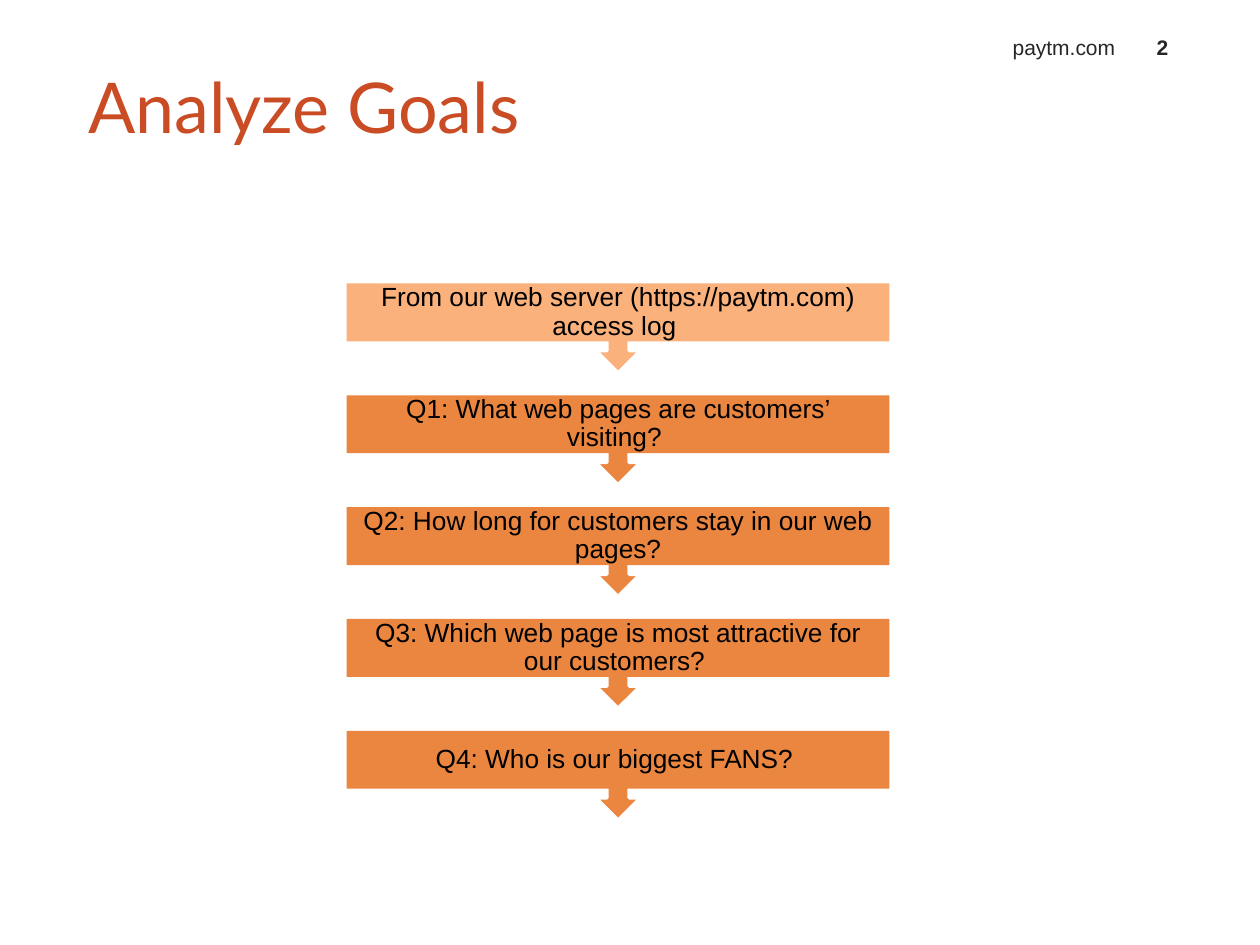
from pptx import Presentation
from pptx.dml.color import RGBColor
from pptx.enum.shapes import MSO_SHAPE
from pptx.enum.text import MSO_ANCHOR, PP_ALIGN
from pptx.util import Inches, Pt

CALLOUT, RECTANGLE = MSO_SHAPE.UP_ARROW_CALLOUT, MSO_SHAPE.RECTANGLE
MIDDLE, BOTTOM = MSO_ANCHOR.MIDDLE, MSO_ANCHOR.BOTTOM
LEFT, CENTER, RIGHT = PP_ALIGN.LEFT, PP_ALIGN.CENTER, PP_ALIGN.RIGHT


def color(value):
    return RGBColor.from_string(value)


def write(shape, text, font, size, text_color, align, anchor, insets, bold=False):
    text_frame = shape.text_frame
    text_frame.text = text
    text_frame.word_wrap = True
    text_frame.vertical_anchor = anchor
    text_frame.margin_left, text_frame.margin_right = Inches(insets[0]), Inches(insets[1])
    text_frame.margin_top = text_frame.margin_bottom = Inches(insets[2])
    paragraph = text_frame.paragraphs[0]
    paragraph.alignment = align
    run = paragraph.runs[0]
    run.font.name = font
    run.font.size = Pt(size)
    run.font.bold = bold
    run.font.color.rgb = color(text_color)
    return paragraph


presentation = Presentation()
presentation.slide_width = Inches(10)
presentation.slide_height = Inches(7.5)
slide = presentation.slides.add_slide(presentation.slide_layouts[6])
column = presentation.slide_width / 40
row = presentation.slide_height / 30

labels = [
    ("Analyze Goals", 2, 1.6, 21.32, 3.48, "Lato", 40, "C94C25", LEFT, MIDDLE, (0.2, 0, 0.05), False),
    ("paytm.com", 25, 0.76, 10.8, 1.32, "Arial", 12, "262626", RIGHT, BOTTOM, (0.1, 0.1, 0.05), False),
    ("2", 35.8, 0.76, 2.2, 1.32, "Arial", 12, "262626", CENTER, BOTTOM, (0.1, 0.1, 0.05), True),
]
for text, x, y, width, height, *style in labels:
    label = slide.shapes.add_textbox(
        int(x * column), int(y * row), int(width * column), int(height * row))
    write(label, text, *style)

steps = [
    ("From our web server (https://paytm.com) access log ", "FAB17B"),
    ("Q1: What web pages are customers’ visiting? ", "EA8640"),
    ("Q2: How long for customers stay in our web pages?", "EA8640"),
    ("Q3: Which web page is most attractive for our customers? ", "EA8640"),
    ("Q4: Who is our biggest FANS? ", "EA8640"),
]
step_left, step_width = int(11 * column), int(17.24 * column)
first_top, step_pitch = 9 * row, 3.55 * row
arrow_height, box_height = int(2.84 * row), int(1.84 * row)

for index, (text, fill) in enumerate(steps):
    top = int(first_top + index * step_pitch)
    group = slide.shapes.add_group_shape()
    arrow = group.shapes.add_shape(CALLOUT, step_left, top, step_width, arrow_height)
    arrow.rotation = 180
    arrow.line.color.rgb = color("FFFFFF")
    arrow.line.width = Pt(2)
    box = group.shapes.add_shape(RECTANGLE, step_left, top, step_width, box_height)
    box.line.fill.background()
    for shape in (arrow, box):
        shape.shadow.inherit = False
        shape.fill.solid()
        shape.fill.fore_color.rgb = color(fill)
    paragraph = write(box, text, "Arial", 15, "000000", CENTER, MIDDLE, (0.12, 0.12, 0.12))
    paragraph.line_spacing = 0.9

presentation.save("out.pptx")
